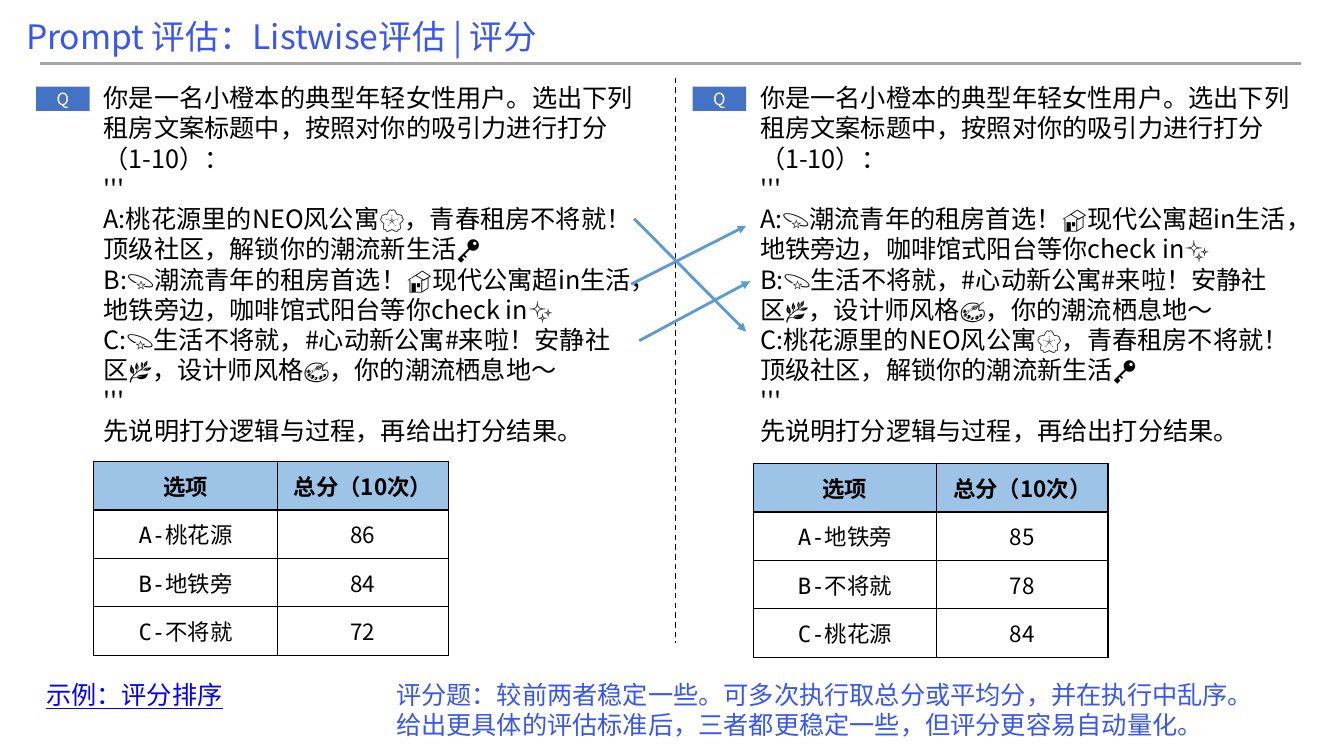
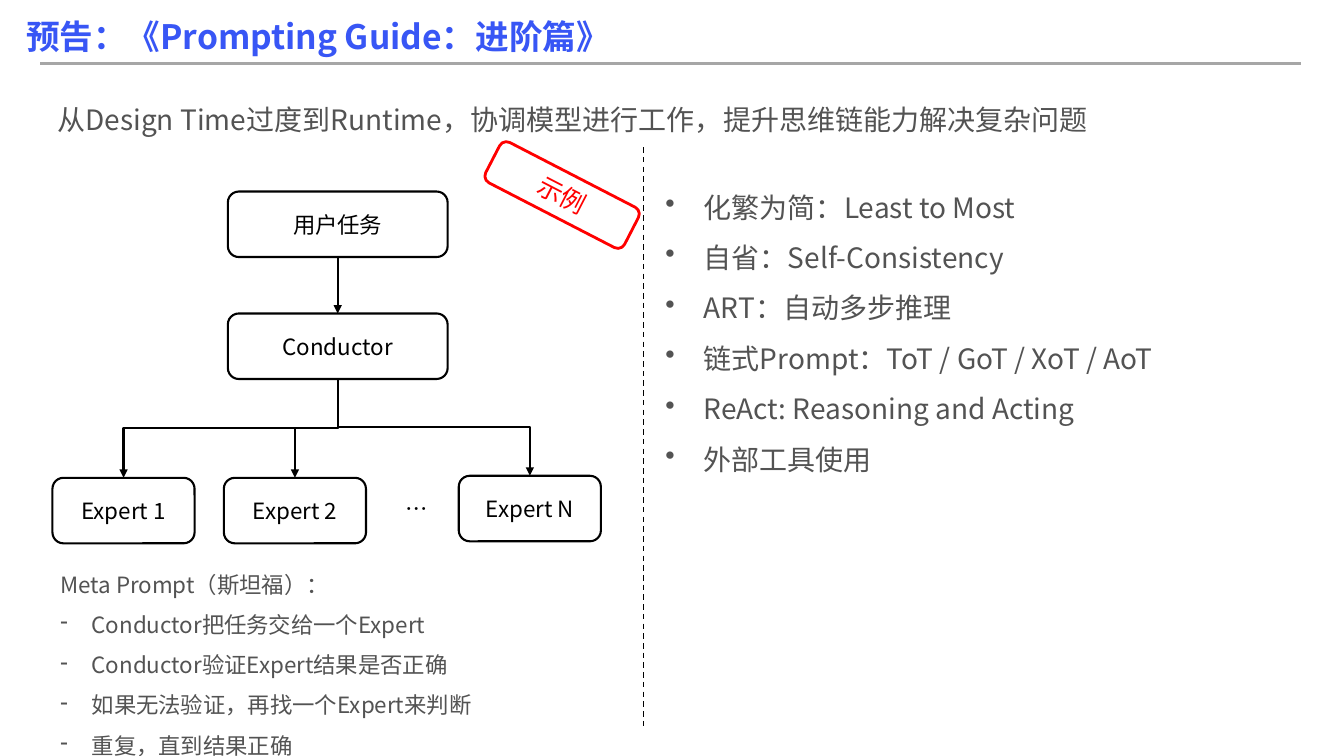
"""Build two slides on prompt evaluation and advanced prompting."""
from lxml.etree import SubElement
from pptx import Presentation
from pptx.dml.color import RGBColor
from pptx.enum.dml import MSO_LINE
from pptx.enum.shapes import MSO_CONNECTOR as CONNECTOR, MSO_SHAPE as SHAPE
from pptx.enum.text import MSO_ANCHOR as ANCHOR, PP_ALIGN as ALIGN
from pptx.oxml.ns import qn
from pptx.util import Inches, Pt

COLORS = {
    "title": "3856F5", "rule": "A6A6A6", "black": "000000", "white": "FFFFFF",
    "gray": "535353", "badge": "4472C4", "arrow": "5B9BD5", "header": "9DC3E6",
    "link": "0000FF", "stamp": "FF0000",
}
SANS, MONO, ROBOTO = "Noto Sans CJK SC", "DejaVu Sans Mono", "Roboto"
NARROW = 0.05

INTRO = "你是一名小橙本的典型年轻女性用户。选出下列租房文案标题中，按照对你的吸引力进行打分（1-10）："
PEACH = "桃花源里的NEO风公寓🌸，青春租房不将就！顶级社区，解锁你的潮流新生活🔑"
METRO = "💫潮流青年的租房首选！🏠现代公寓超in生活，地铁旁边，咖啡馆式阳台等你check in✨"
QUIET = "💫生活不将就，#心动新公寓#来啦！安静社区🌿，设计师风格🎨，你的潮流栖息地～"
OUTRO = "先说明打分逻辑与过程，再给出打分结果。"


def rgb(name):
    """Return the named colour."""
    return RGBColor.from_string(COLORS[name])


def apply(target, values):
    """Set each named attribute on the target."""
    for name, value in values.items():
        setattr(target, name, value)


def write(paragraph, text, size, color="black", font=SANS, **extra):
    """Add one formatted run to a paragraph."""
    run = paragraph.add_run()
    run.text = text
    apply(run.font, {"size": Pt(size), "name": font, **extra})
    run.font.color.rgb = rgb(color)
    east_asian = SubElement(run.font._element, qn("a:ea"))
    east_asian.set("typeface", SANS)


def set_bullet(paragraph, character, indent):
    """Give a paragraph a hanging bullet."""
    properties = paragraph._p.get_or_add_pPr()
    properties.set("marL", str(Inches(indent)))
    properties.set("indent", str(-Inches(indent)))
    SubElement(properties, qn("a:buChar")).set("char", character)


def set_insets(frame, inset):
    """Use one inset on all four sides."""
    sides = ("left", "top", "right", "bottom")
    apply(frame, {f"margin_{side}": Inches(inset) for side in sides})


def add_text(slide, box, lines, size, color="black", inset=None, spacing=None,
             bullet=None, indent=0, plain_lines=0, wrap=True, **font):
    """Add a text box whose lines after plain_lines may carry bullets."""
    frame = slide.shapes.add_textbox(*map(Inches, box)).text_frame
    frame.word_wrap = wrap
    if inset is not None:
        set_insets(frame, inset)
    for index, line in enumerate(lines):
        paragraph = frame.add_paragraph() if index else frame.paragraphs[0]
        if bullet and index >= plain_lines:
            set_bullet(paragraph, bullet, indent)
        if spacing:
            paragraph.line_spacing = spacing
        write(paragraph, line, size, color, **font)


def add_box(slide, box, text, size=16, color="black", kind=SHAPE.ROUNDED_RECTANGLE,
            fill=None, line="black", width=1.5, rotation=0):
    """Add a shape with centred text."""
    shape = slide.shapes.add_shape(kind, *map(Inches, box))
    shape.shadow.inherit = False
    shape.rotation = rotation
    if fill:
        shape.fill.solid()
        shape.fill.fore_color.rgb = rgb(fill)
    else:
        shape.fill.background()
    if line:
        shape.line.color.rgb = rgb(line)
        shape.line.width = Pt(width)
    else:
        shape.line.fill.background()
    frame = shape.text_frame
    apply(frame, {"word_wrap": True, "vertical_anchor": ANCHOR.MIDDLE})
    set_insets(frame, NARROW)
    frame.paragraphs[0].alignment = ALIGN.CENTER
    write(frame.paragraphs[0], text, size, color)
    return shape


def add_line(slide, start, end, color="black", width=1.5, dashed=False,
             arrow=False, kind=CONNECTOR.STRAIGHT):
    """Add a connector, dashed or with an arrowhead if asked."""
    connector = slide.shapes.add_connector(kind, *map(Inches, (*start, *end)))
    connector.line.color.rgb = rgb(color)
    connector.line.width = Pt(width)
    if dashed:
        connector.line.dash_style = MSO_LINE.DASH
    if arrow:
        SubElement(connector.line._get_or_add_ln(), qn("a:tailEnd")).set("type", "triangle")
    SubElement(connector._element.spPr, qn("a:effectLst"))
    return connector


def join_down(slide, upper, lower):
    """Join the bottom of one box to the top of another with an arrow."""
    start_x, end_x = (box.left + box.width // 2 for box in (upper, lower))
    start_y, end_y = upper.top + upper.height, lower.top
    straight = start_x == end_x
    connector = add_line(slide, (0, 0), (1, 1), arrow=True,
                         kind=CONNECTOR.STRAIGHT if straight else CONNECTOR.ELBOW)
    connector.begin_connect(upper, 2)
    connector.end_connect(lower, 0)
    if straight:
        return
    drop, shift = end_y - start_y, abs(end_x - start_x)
    apply(connector, {
        "left": (start_x + end_x - drop) // 2, "top": (start_y + end_y - shift) // 2,
        "width": drop, "height": shift,
    })
    transform = connector._element.spPr.find(qn("a:xfrm"))
    for name in ("flipH", "flipV"):
        transform.attrib.pop(name, None)
    rightward = end_x > start_x
    transform.set("rot", str((270 if rightward else 90) * 60000))
    if rightward:
        transform.set("flipH", "1")


def add_borders(cell):
    """Draw thin black borders around a cell."""
    properties = cell._tc.get_or_add_tcPr()
    for side in ("lnL", "lnR", "lnT", "lnB"):
        border = SubElement(properties, qn(f"a:{side}"), w=str(Pt(1)))
        fill = SubElement(border, qn("a:solidFill"))
        SubElement(fill, qn("a:srgbClr"), val=COLORS["black"])


def add_score_table(slide, left, top, scores):
    """Add a table of options and total scores."""
    rows = [("选项", "总分（10次）"), *scores]
    widths, height = (1.82, 1.7), 0.48
    table = slide.shapes.add_table(
        len(rows), len(widths), Inches(left), Inches(top),
        Inches(sum(widths)), Inches(height * len(rows))).table
    table.horz_banding = False
    for column, width in zip(table.columns, widths):
        column.width = Inches(width)
    for row_index, row in enumerate(rows):
        table.rows[row_index].height = Inches(height)
        header = row_index == 0
        for column_index, text in enumerate(row):
            cell = table.cell(row_index, column_index)
            add_borders(cell)
            cell.fill.solid()
            cell.fill.fore_color.rgb = rgb("header" if header else "white")
            set_insets(cell, 0.02 if header else 0.04)
            cell.vertical_anchor = ANCHOR.MIDDLE
            paragraph = cell.text_frame.paragraphs[0]
            paragraph.alignment = ALIGN.CENTER
            font = SANS if header or column_index else MONO
            write(paragraph, text, 16, font=font, bold=header)


def add_titled_slide(presentation, title, bold=False):
    """Add a blank slide with the shared title and rule."""
    slide = presentation.slides.add_slide(presentation.slide_layouts[6])
    add_line(slide, (0.4, 0.63), (12.9, 0.63), "rule")
    add_text(slide, (0.16, 0.11, 10.08, 0.5), [title], 24, "title", bold=bold)
    return slide


def add_question(slide, left, options):
    """Add a Q badge and its prompt with lettered options."""
    add_box(slide, (left, 0.86, 0.53, 0.24), "Q", 12, "white", SHAPE.RECTANGLE,
            fill="badge", line=None)
    lettered = [f"{letter}:{option}" for letter, option in zip("ABC", options)]
    add_text(slide, (left + 0.57, 0.77, 5.54, 3.74),
             [INTRO, "'''", *lettered, "'''", OUTRO], 18)


def build_scoring(presentation):
    """Build the listwise scoring slide."""
    slide = add_titled_slide(presentation, "Prompt 评估：Listwise评估 | 评分")
    add_question(slide, 0.36, (PEACH, METRO, QUIET))
    add_question(slide, 6.87, (METRO, QUIET, PEACH))
    add_line(slide, (6.7, 0.77), (6.7, 6.38), width=1, dashed=True)
    for start, end in (((6.26, 2.82), (7.4, 2.24)),
                       ((6.29, 2.17), (7.4, 3.29)),
                       ((6.34, 3.38), (7.44, 2.79))):
        add_line(slide, start, end, "arrow", 2, arrow=True)
    add_score_table(slide, 0.93, 4.58,
                    [("A-桃花源", "86"), ("B-地铁旁", "84"), ("C-不将就", "72")])
    add_score_table(slide, 7.47, 4.6,
                    [("A-地铁旁", "85"), ("B-不将就", "78"), ("C-桃花源", "84")])
    add_text(slide, (3.83, 6.69, 9.5, 0.71),
             ["评分题：较前两者稳定一些。可多次执行取总分或平均分，并在执行中乱序。",
              "给出更具体的评估标准后，三者都更稳定一些，但评分更容易自动量化。"],
             18, "title", font=ROBOTO)
    add_text(slide, (0.36, 6.69, 2.04, 0.4), ["示例：评分排序"], 18, "link",
             wrap=False, underline=True)


def build_preview(presentation):
    """Build the preview slide with the conductor diagram."""
    slide = add_titled_slide(presentation, "预告：《Prompting Guide：进阶篇》", bold=True)
    body = {"color": "gray", "inset": NARROW, "spacing": 1.5}
    add_text(slide, (0.52, 0.8, 12.8, 0.61),
             ["从Design Time过度到Runtime，协调模型进行工作，提升思维链能力解决复杂问题"],
             20, **body)
    task, conductor = (add_box(slide, (2.26, top, 2.18, 0.65), text)
                       for top, text in ((1.9, "用户任务"), (3.11, "Conductor")))
    join_down(slide, task, conductor)
    for left, top, text in ((0.52, 4.74, "Expert 1"), (2.22, 4.74, "Expert 2"),
                            (4.55, 4.72, "Expert N")):
        expert = add_box(slide, (left, top, 1.41, 0.65), text)
        join_down(slide, conductor, expert)
    add_box(slide, (3.43, 4.72, 1.41, 0.65), "…", line=None)
    add_text(slide, (0.55, 5.48, 5.64, 2.12),
             ["Meta Prompt（斯坦福）：", "Conductor把任务交给一个Expert",
              "Conductor验证Expert结果是否正确", "如果无法验证，再找一个Expert来判断",
              "重复，直到结果正确"],
             16, bullet="-", indent=0.31, plain_lines=1, **body)
    add_line(slide, (6.38, 1.46), (6.38, 7.23), width=1, dashed=True)
    add_box(slide, (4.8, 1.71, 1.55, 0.45), "示例", 18, "stamp", line="stamp",
            width=2, rotation=27.3)
    add_text(slide, (6.55, 1.67, 6.31, 3.64),
             ["化繁为简：Least to Most", "自省：Self-Consistency", "ART：自动多步推理",
              "链式Prompt：ToT / GoT / XoT / AoT", "ReAct: Reasoning and Acting",
              "外部工具使用"],
             20, bullet="•", indent=0.38, **body)


def main():
    """Create and save the presentation."""
    presentation = Presentation()
    apply(presentation, {"slide_width": Inches(13.33), "slide_height": Inches(7.5)})
    build_scoring(presentation)
    build_preview(presentation)
    presentation.save("out.pptx")


if __name__ == "__main__":
    main()
